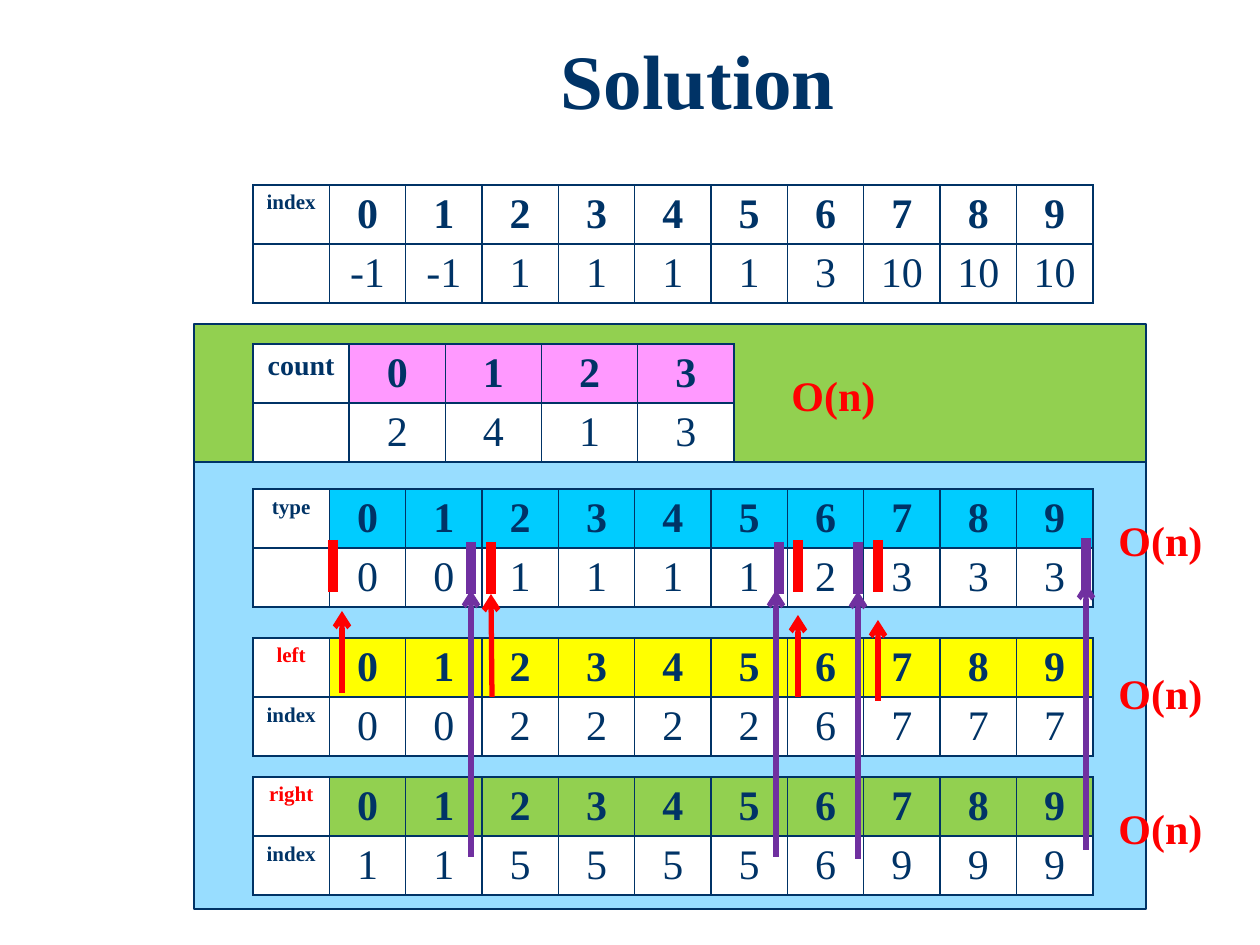
from dataclasses import dataclass

from lxml.etree import SubElement as Sub
from pptx import Presentation
from pptx.dml.color import RGBColor
from pptx.enum.shapes import MSO_CONNECTOR as Conn, MSO_SHAPE as Shape
from pptx.enum.text import MSO_ANCHOR as Anchor, MSO_AUTO_SIZE as Auto, PP_ALIGN as Align
from pptx.oxml.ns import qn
from pptx.util import Pt

SCALE = 914400 / 126
NAVY, RED, VIOLET, GREEN, WHITE = "003366", "FF0000", "7030A0", "92D050", "FFFFFF"


@dataclass
class Band:
    top: int
    high: int
    fill: str


@dataclass
class Grid:
    top: int
    wide: int
    heads: tuple[str, str]
    vals: str
    fill: str
    ink: str = NAVY
    size: int = 12


@dataclass
class Line:
    x: int
    y: int
    end_x: int
    end_y: int
    ink: str
    width: int
    arrow: bool = False


def px(n: float) -> int:
    return round(n * SCALE)


def color(code: str) -> RGBColor:
    return RGBColor.from_string(code)


def write(frame, text: str, *, size: int = 24, ink: str = NAVY, bold: bool = True,
          align=Align.CENTER, space: float | None = None) -> None:
    par = frame.paragraphs[0]
    par.alignment = align
    par.line_spacing = space
    run = par.add_run()
    run.text = text
    font = run.font
    font.name, font.size, font.bold = "Times New Roman", Pt(size), bold
    font.color.rgb = color(ink)


def add_band(slide, band: Band) -> None:
    box = slide.shapes.add_shape(Shape.RECTANGLE, px(194), px(band.top), px(952), px(band.high))
    box.shadow.inherit = False
    box.fill.solid()
    box.fill.fore_color.rgb = color(band.fill)
    box.line.color.rgb = color(NAVY)
    box.line.width = Pt(0.75)


def add_edges(cell) -> None:
    props = cell._tc.get_or_add_tcPr()
    for side in "LRTB":
        edge = Sub(props, qn(f"a:ln{side}"), w=str(Pt(1)))
        Sub(Sub(edge, qn("a:solidFill")), qn("a:srgbClr"), val=NAVY)


def add_grid(slide, grid: Grid) -> None:
    vals = grid.vals.split()
    cols = len(vals) + 1
    rows = [[grid.heads[0], *map(str, range(len(vals)))], [grid.heads[1], *vals]]
    table = slide.shapes.add_table(2, cols, px(253), px(grid.top), px(grid.wide), px(102)).table
    for col in table.columns:
        col.width = px(grid.wide / cols)
    for r, row in enumerate(rows):
        for c, text in enumerate(row):
            cell = table.cell(r, c)
            add_edges(cell)
            cell.fill.solid()
            cell.fill.fore_color.rgb = color(grid.fill if r == 0 and c else WHITE)
            if c:
                write(cell.text_frame, text, bold=r == 0)
            elif text:
                ink = grid.ink if r == 0 else NAVY
                write(cell.text_frame, text, size=grid.size, ink=ink)


def add_cost(slide, x: int, y: int) -> None:
    frame = slide.shapes.add_textbox(px(x), px(y), px(111), px(63)).text_frame
    frame.word_wrap = False
    frame.auto_size = Auto.SHAPE_TO_FIT_TEXT
    write(frame, "O(n)", ink=RED, align=Align.LEFT)


def add_line(slide, line: Line) -> None:
    item = slide.shapes.add_connector(
        Conn.STRAIGHT, px(line.x), px(line.y), px(line.end_x), px(line.end_y))
    item.line.color.rgb = color(line.ink)
    item.line.width = Pt(line.width)
    if line.arrow:
        Sub(item.line._get_or_add_ln(), qn("a:tailEnd"), type="arrow")
    Sub(item._element.spPr, qn("a:effectLst"))


BANDS = [Band(324, 138, GREEN), Band(462, 447, "98DDFF")]
GRIDS = [
    Grid(185, 840, ("index", ""), "-1 -1 1 1 1 1 3 10 10 10", WHITE),
    Grid(489, 840, ("type", ""), "0 0 1 1 1 1 2 3 3 3", "00CCFF"),
    Grid(638, 840, ("left", "index"), "0 0 2 2 2 2 6 7 7 7", "FFFF00", RED),
    Grid(777, 840, ("right", "index"), "1 1 5 5 5 5 6 9 9 9", GREEN, RED),
    Grid(344, 481, ("count", ""), "2 4 1 3", "FF99FF", size=16),
]
COSTS = [(779, 363), (1106, 508), (1106, 661), (1106, 796)]
MARKS = [
    (333, 540, RED), (491, 542, RED), (798, 540, RED), (878, 540, RED),
    (1086, 538, VIOLET), (858, 542, VIOLET), (779, 542, VIOLET), (471, 542, VIOLET),
]
ARROWS = [
    (342, 693, 342, 611, RED), (492, 697, 491, 594, RED),
    (798, 697, 798, 615, RED), (878, 701, 878, 620, RED),
    (471, 857, 471, 590, VIOLET), (776, 857, 776, 590, VIOLET),
    (858, 859, 858, 591, VIOLET), (1086, 850, 1086, 582, VIOLET),
]


def main() -> None:
    deck = Presentation()
    deck.slide_width, deck.slide_height = px(1260), px(945)
    slide = deck.slides.add_slide(deck.slide_layouts[5])
    for band in BANDS:
        add_band(slide, band)
    title = slide.shapes.title
    title.left, title.top, title.width, title.height = px(194), px(37), px(1008), px(116)
    title.text_frame.vertical_anchor = Anchor.TOP
    write(title.text_frame, "Solution", size=44, space=0.9)
    for grid in GRIDS:
        add_grid(slide, grid)
    for x, y in COSTS:
        add_cost(slide, x, y)
    for x, y, ink in MARKS:
        add_line(slide, Line(x, y, x, y + 52, ink, 6))
    for x, y, end_x, end_y, ink in ARROWS:
        add_line(slide, Line(x, y, end_x, end_y, ink, 3, True))
    deck.save("out.pptx")


if __name__ == "__main__":
    main()
